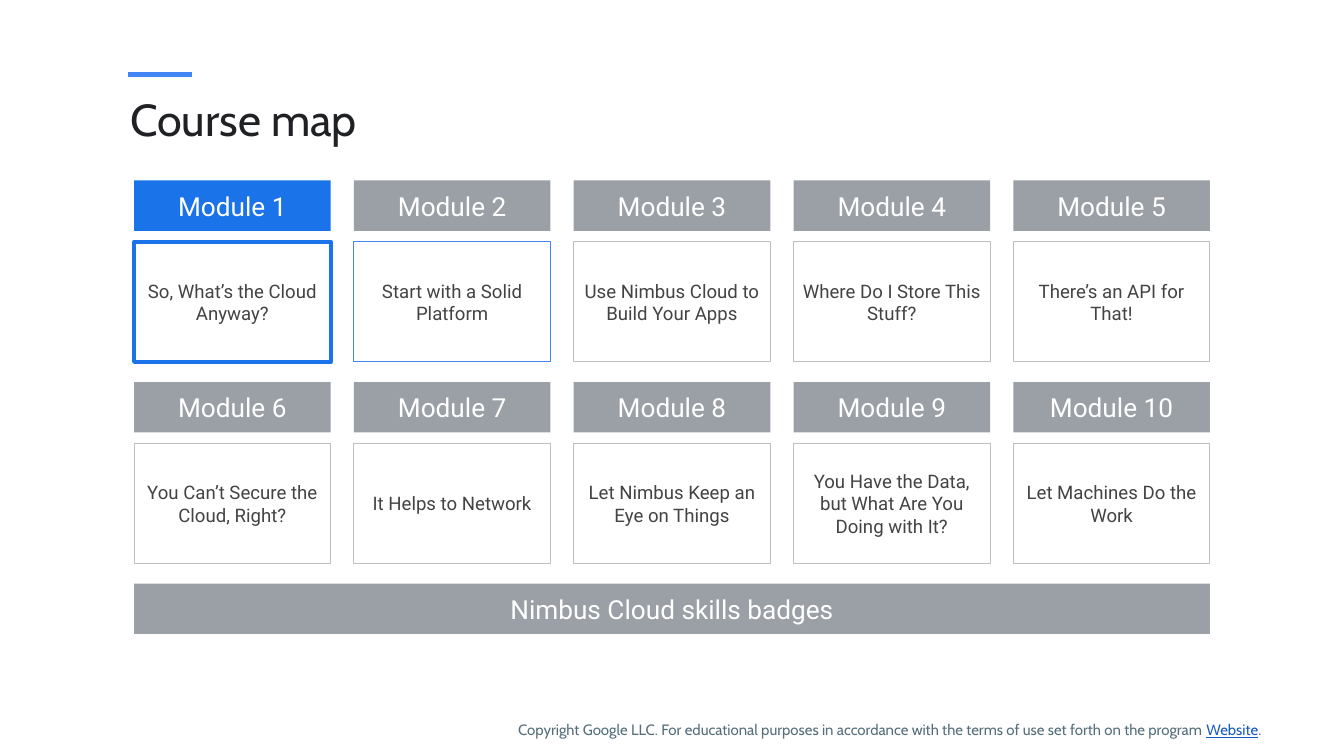
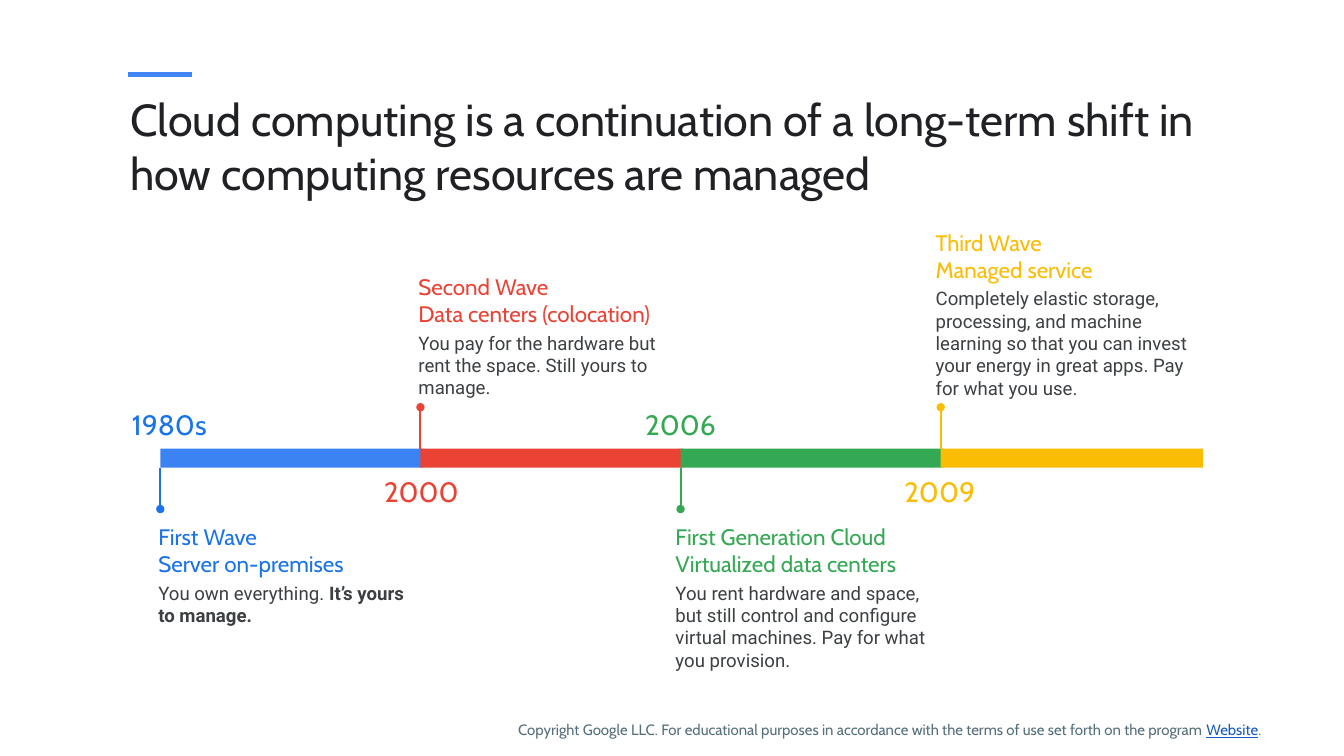
from lxml import etree
from pptx import Presentation
from pptx import util as u
from pptx.dml.color import RGBColor
from pptx.enum import shapes, text
from pptx.oxml import ns

PX = 9144
HUES = {
    "white": "FFFFFF", "ink": "202124", "body": "3C4043", "tile": "434343",
    "gray": "9AA0A6", "edge": "BFBFBF", "accent": "4285F4", "blue": "1A73E8",
    "bar": "3B83F3", "red": "EA4335", "green": "34A853", "gold": "FBBC04",
    "foot": "546E7A", "link": "185ABC",
}
HEAD, BODY = "Cabin", "Roboto"
MID = text.PP_ALIGN.CENTER


def hue(name):
    return RGBColor.from_string(HUES[name])


class Deck:
    def __init__(self):
        self.prs = Presentation()
        self.prs.slide_width = 1333 * PX
        self.prs.slide_height = 750 * PX
        self.slide = None

    def start(self, title):
        self.slide = self.prs.slides.add_slide(self.prs.slide_layouts[6])
        self.line((127, 74), (190, 74), "accent", 3)
        frame = self.label((122, 84, 1077, 83))
        self.para(frame, title, HEAD, 32, "ink")

    def finish(self):
        frame = self.label((501, 702, 825, 38), (13, 13, 13, 13))
        note = self.para(frame, "Copyright Google LLC. For educational purposes in accordance "
                         "with the terms of use set forth on the program ",
                         HEAD, 10.7, "foot")
        note.line_spacing = 1.15
        link = note.add_run()
        link.text = "Website"
        link.font.color.rgb = hue("link")
        link.font.underline = True
        note.add_run().text = "."

    def line(self, start, end, color, width, dot=False):
        ends = [n * PX for n in start + end]
        line = self.slide.shapes.add_connector(shapes.MSO_CONNECTOR.STRAIGHT, *ends)
        line.line.color.rgb = hue(color)
        line.line.width = u.Pt(width)
        if dot:
            tail = etree.SubElement(line.line._get_or_add_ln(), ns.qn("a:tailEnd"))
            tail.set("type", "oval")
        etree.SubElement(line._element.spPr, ns.qn("a:effectLst"))

    def frame(self, shape, pads, anchor):
        frame = shape.text_frame
        frame.word_wrap = True
        frame.vertical_anchor = anchor
        (frame.margin_left, frame.margin_top,
         frame.margin_right, frame.margin_bottom) = [n * PX for n in pads]
        return frame

    def label(self, area, pads=(7, 7, 7, 7), anchor=text.MSO_ANCHOR.TOP):
        box = self.slide.shapes.add_textbox(*[n * PX for n in area])
        return self.frame(box, pads, anchor)

    def rect(self, area, fill=None, edge=None, width=0.75):
        box = self.slide.shapes.add_shape(shapes.MSO_SHAPE.RECTANGLE,
                                          *[n * PX for n in area])
        box.shadow.inherit = False
        if fill:
            box.fill.solid()
            box.fill.fore_color.rgb = hue(fill)
        else:
            box.fill.background()
        if edge:
            box.line.color.rgb = hue(edge)
            box.line.width = u.Pt(width)
        else:
            box.line.fill.background()
        return self.frame(box, (7, 7, 7, 7), text.MSO_ANCHOR.MIDDLE)

    def para(self, frame, words, face, size, color, align=text.PP_ALIGN.LEFT):
        first = frame.paragraphs[0]
        para = frame.add_paragraph() if first.runs else first
        para.add_run().text = words
        para.alignment = align
        para.font.name = face
        para.font.size = u.Pt(size)
        para.font.color.rgb = hue(color)
        return para

    def band(self, area, words, fill="gray"):
        self.para(self.rect(area, fill), words, BODY, 18.7, "white", MID)

    def tile(self, area, words, edge, width):
        self.para(self.rect(area, None, edge, width), words, BODY, 13.3, "tile", MID)

    def year(self, left, top, words, color):
        frame = self.label((left, top, 90, 33), anchor=text.MSO_ANCHOR.MIDDLE)
        self.para(frame, words, HEAD, 20, color, MID)

    def wave(self, area, heads, words, strong, color):
        frame = self.label(area, (0, 7, 0, 7))
        for head in heads:
            self.para(frame, head, HEAD, 16, color)
        para = self.para(frame, words, BODY, 13.3, "body")
        para.space_before = u.Pt(3.3)
        if strong:
            run = para.add_run()
            run.text = strong
            run.font.bold = True


TOPICS = [
    "So, What’s the Cloud Anyway?", "Start with a Solid Platform",
    "Use Nimbus Cloud to Build Your Apps", "Where Do I Store This Stuff?",
    "There’s an API for That!", "You Can’t Secure the Cloud, Right?",
    "It Helps to Network", "Let Nimbus Keep an Eye on Things",
    "You Have the Data, but What Are You Doing with It?",
    "Let Machines Do the Work",
]
EDGES = {0: ("blue", 3), 1: ("accent", 0.75)}

WAVES = [
    ("1980s", 123, "blue", "bar", (157, 512, 261, 111),
     ("First Wave", "Server on-premises"),
     "You own everything. ", "It’s yours to manage."),
    ("2000", 373, "red", "red", (415, 264, 261, 133),
     ("Second Wave", "Data centers (colocation)"),
     "You pay for the hardware but rent the space. Still yours to manage.", ""),
    ("2006", 630, "green", "green", (670, 512, 254, 111),
     ("First Generation Cloud", "Virtualized data centers"),
     "You rent hardware and space, but still control and configure virtual "
     "machines. Pay for what you provision.", ""),
    ("2009", 887, "gold", "gold", (928, 220, 272, 183),
     ("Third Wave", "Managed service"),
     "Completely elastic storage, processing, and machine learning so that you "
     "can invest your energy in great apps. Pay for what you use.", ""),
]


def course(deck):
    deck.start("Course map")
    for i, topic in enumerate(TOPICS):
        row, col = divmod(i, 5)
        left, top = 133 + 218 * col, 179 + 200 * row
        deck.band((left, top, 195, 50), f"Module {i + 1}", "gray" if i else "blue")
        deck.tile((left, top + 61, 195, 119), topic, *EDGES.get(i, ("edge", 0.75)))
    deck.band((133, 579, 1067, 50), "Nimbus Cloud skills badges")
    deck.finish()


def history(deck):
    deck.start("Cloud computing is a continuation of a long-term shift in "
               "how computing resources are managed")
    for i, (year, left, color, fill, area, heads, words, strong) in enumerate(WAVES):
        x = 159 + 258 * i
        deck.rect((x, 445, 260, 19), fill)
        if i % 2:
            deck.line((x, 445), (x, 404), color, 1.5, True)
        else:
            deck.line((x, 464), (x, 505), color, 1.5, True)
        deck.year(left, 471 if i % 2 else 404, year, color)
        deck.wave(area, heads, words, strong, color)
    deck.finish()


def main():
    deck = Deck()
    course(deck)
    history(deck)
    deck.prs.save("out.pptx")


if __name__ == "__main__":
    main()
